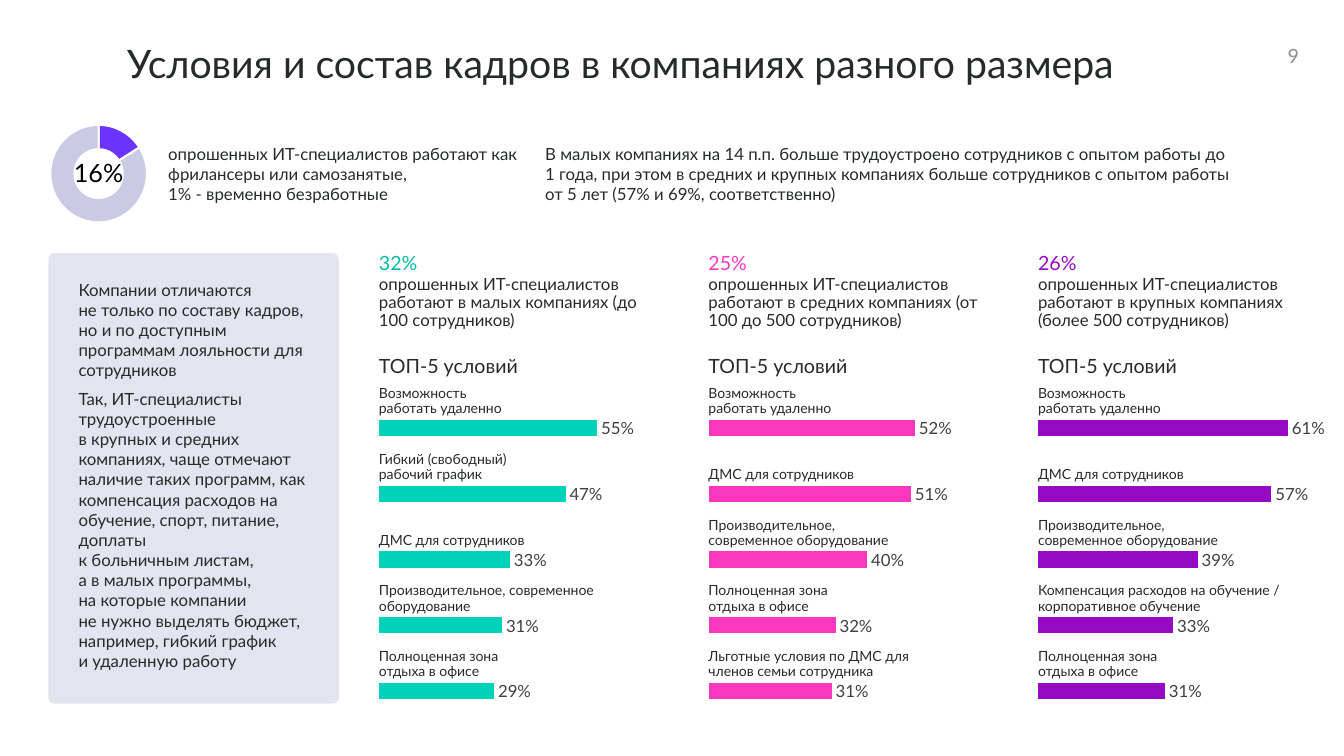
from copy import deepcopy
from dataclasses import dataclass

from lxml import etree
from pptx import Presentation
from pptx.chart import data as chart_data
from pptx.dml.color import RGBColor
from pptx.enum import chart as chart_enum, shapes, text
from pptx.oxml import ns, parse_xml
from pptx.util import Cm, Pt


# Theme: colours and type sizes
@dataclass(frozen=True)
class Theme:
    font: str = "Lato"
    chart_font: str = "Calibri"
    ink: str = "262B28"
    black: str = "000000"
    label: str = "404040"
    grey: str = "8C8C8C"
    white: str = "FFFFFF"
    accent: str = "6D33FF"
    lavender: str = "CACAE5"
    small: str = "00BCA6"
    small_bar: str = "00D2B9"
    medium: str = "FA37BD"
    large: str = "960AC3"
    title_size: int = 28
    donut_size: int = 18
    heading_size: int = 14
    body_size: int = 12
    caption_size: int = 10


THEME = Theme()


@dataclass(frozen=True)
class Box:
    left: float
    top: float
    width: float
    height: float

    def lengths(self) -> tuple:
        return Cm(self.left), Cm(self.top), Cm(self.width), Cm(self.height)


@dataclass(frozen=True)
class Condition:
    caption: str
    share: float
    width: float


@dataclass(frozen=True)
class Company:
    share: str
    description: str
    description_width: float
    color: str
    bar_color: str
    chart_width: float
    plot_share: float
    axis_maximum: float
    conditions: tuple[Condition, ...]


# Content
REMOTE = "Возможность работать удаленно"
INSURANCE = "ДМС для сотрудников"
EQUIPMENT = "Производительное, современное оборудование"
LOUNGE = "Полноценная зона отдыха в офисе"

COMPANIES = (
    Company("32%", "опрошенных ИТ-специалистов работают в малых компаниях (до 100 сотрудников)",
            6.58, THEME.small, THEME.small_bar, 7.04, 0.853, 0.6, (
                Condition(REMOTE, 0.55, 3.61),
                Condition("Гибкий (свободный) рабочий график", 0.47, 3.78),
                Condition(INSURANCE, 0.33, 3.96),
                Condition(EQUIPMENT, 0.31, 5.61),
                Condition(LOUNGE, 0.29, 3.61))),
    Company("25%", "опрошенных ИТ-специалистов работают в средних компаниях (от 100 до 500 сотрудников)",
            6.86, THEME.medium, THEME.medium, 7.04, 0.853, 0.6, (
                Condition(REMOTE, 0.52, 3.61),
                Condition(INSURANCE, 0.51, 3.78),
                Condition(EQUIPMENT, 0.4, 5.16),
                Condition(LOUNGE, 0.32, 3.94),
                Condition("Льготные условия по ДМС для членов семьи сотрудника", 0.31, 5.64))),
    Company("26%", "опрошенных ИТ-специалистов работают в крупных компаниях (более 500 сотрудников)",
            6.86, THEME.large, THEME.large, 7.24, 0.998, 0.7, (
                Condition(REMOTE, 0.61, 3.61),
                Condition(INSURANCE, 0.57, 3.78),
                Condition(EQUIPMENT, 0.39, 5.16),
                Condition("Компенсация расходов на обучение / корпоративное обучение", 0.33, 6.45),
                Condition(LOUNGE, 0.31, 3.61))),
)

PANEL_TEXT = (
    "Компании отличаются \vне только по составу кадров, но и по доступным программам "
    "лояльности для сотрудников",
    "Так, ИТ-специалисты трудоустроенные \vв крупных и средних компаниях, чаще отмечают "
    "наличие таких программ, как компенсация расходов на обучение, спорт, питание, доплаты "
    "\vк больничным листам, \vа в малых программы, \vна которые компании \vне нужно выделять "
    "бюджет, например, гибкий график \vи удаленную работу",
)

FIRST_COLUMN, COLUMN_STEP = 9.55, 8.305
CHART_TOP, CHART_HEIGHT = 9.96, 8.28
CAPTION_TOP, CAPTION_HEIGHT = 9.75, 0.76


def apply(target, **values) -> None:
    for name, value in values.items():
        setattr(target, name, value)


def set_font(font, size: int, color: str, name: str = THEME.font) -> None:
    apply(font, size=Pt(size), name=name)
    font.color.rgb = RGBColor.from_string(color)


def paint(fill, color: str) -> None:
    fill.solid()
    fill.fore_color.rgb = RGBColor.from_string(color)


# Text
def fill_text(shape, paragraphs: tuple[str, ...], size: int, color: str = THEME.ink,
              anchor=text.MSO_ANCHOR.TOP, **paragraph_format) -> None:
    frame = shape.text_frame
    apply(frame, word_wrap=True, auto_size=text.MSO_AUTO_SIZE.NONE, vertical_anchor=anchor,
          margin_left=0, margin_top=0, margin_right=0, margin_bottom=0)
    for index, content in enumerate(paragraphs):
        paragraph = frame.add_paragraph() if index else frame.paragraphs[0]
        paragraph.text = content
        apply(paragraph, **paragraph_format)
        for run in paragraph.runs:
            set_font(run.font, size, color)
        # Line breaks take the size of the text around them
        for line_break in paragraph._p.findall(ns.qn("a:br")):
            line_break.insert(0, deepcopy(paragraph.runs[0]._r.rPr))


def add_text(parent, box: Box, content: str, size: int, color: str = THEME.ink, **options) -> None:
    fill_text(parent.add_textbox(*box.lengths()), (content,), size, color, **options)


# Charts
def add_chart(parent, kind, box: Box, values: list[float], plot_width: float):
    data = chart_data.CategoryChartData()
    data.categories = [str(number) for number in range(1, len(values) + 1)]
    data.add_series("Series 1", values)
    chart = parent.add_chart(kind, *box.lengths(), data).chart
    apply(chart, has_legend=False, has_title=False)
    set_font(chart.font, THEME.caption_size, THEME.black, THEME.chart_font)
    plot_area = chart.element.find(".//" + ns.qn("c:plotArea"))
    for layout in plot_area.findall(ns.qn("c:layout")):
        plot_area.remove(layout)
    plot_area.insert(0, parse_xml(
        f'<c:layout {ns.nsdecls("c")}><c:manualLayout><c:layoutTarget val="inner"/>'
        '<c:xMode val="edge"/><c:yMode val="edge"/><c:x val="0"/><c:y val="0"/>'
        f'<c:w val="{plot_width}"/><c:h val="1"/></c:manualLayout></c:layout>'))
    return chart


def add_donut(parent, box: Box) -> None:
    chart = add_chart(parent, chart_enum.XL_CHART_TYPE.DOUGHNUT, box, [16, 84], 1)
    for index, color in enumerate((THEME.accent, THEME.lavender)):
        point = chart.plots[0].series[0].points[index]
        paint(point.format.fill, color)
        paint(point.format.line.fill, THEME.white)
        point.format.line.width = Pt(1.5)


def add_bars(parent, box: Box, company: Company) -> None:
    values = [condition.share for condition in reversed(company.conditions)]
    chart = add_chart(parent, chart_enum.XL_CHART_TYPE.BAR_CLUSTERED, box, values,
                      company.plot_share)
    apply(chart.category_axis, visible=False, has_major_gridlines=False)
    apply(chart.value_axis, visible=False, has_major_gridlines=False,
          minimum_scale=0, maximum_scale=company.axis_maximum)
    plot = chart.plots[0]
    apply(plot, gap_width=300, vary_by_categories=False)
    series = plot.series[0]
    series.invert_if_negative = False
    paint(series.format.fill, company.bar_color)
    labels = series.data_labels
    apply(labels, show_value=True, number_format="0%", number_format_is_linked=False,
          position=chart_enum.XL_LABEL_POSITION.OUTSIDE_END)
    set_font(labels.font, THEME.body_size, THEME.label)


# One column per company size
def add_company(slide, company: Company, left: float) -> None:
    group = slide.shapes.add_group_shape().shapes
    add_text(group, Box(left, 6.96, company.description_width, 1.37), company.description,
             THEME.body_size, line_spacing=0.9)
    add_text(group, Box(left, 6.38, 1.47, 0.53), company.share, THEME.heading_size,
             company.color, line_spacing=0.9)
    add_bars(group, Box(left, CHART_TOP, company.chart_width, CHART_HEIGHT), company)
    add_text(group, Box(left, 8.99, 3.94, 0.53), "ТОП-5 условий", THEME.heading_size,
             line_spacing=0.9)
    step = CHART_HEIGHT / len(company.conditions)
    for row, condition in enumerate(company.conditions):
        box = Box(left, CAPTION_TOP + row * step, condition.width, CAPTION_HEIGHT)
        add_text(group, box, condition.caption, THEME.caption_size,
                 anchor=text.MSO_ANCHOR.BOTTOM, line_spacing=0.9)


def add_panel(slide) -> None:
    panel = slide.shapes.add_shape(shapes.MSO_SHAPE.ROUNDED_RECTANGLE,
                                   *Box(1.22, 6.38, 7.32, 11.35).lengths())
    panel.adjustments[0] = 0.02
    panel.shadow.inherit = False
    panel.line.fill.background()
    paint(panel.fill, THEME.lavender)
    color = panel._element.spPr.find(".//" + ns.qn("a:srgbClr"))
    etree.SubElement(color, ns.qn("a:alpha"), val="50000")
    words = slide.shapes.add_textbox(*Box(1.98, 7.04, 5.94, 9.86).lengths())
    fill_text(words, PANEL_TEXT, THEME.body_size, space_after=Pt(6))


def main() -> None:
    presentation = Presentation()
    apply(presentation, slide_width=Cm(33.87), slide_height=Cm(19.05))
    slide = presentation.slides.add_slide(presentation.slide_layouts[5])

    # Title and page number
    title = slide.shapes.title
    title.left, title.top, title.width, title.height = Box(3.2, 1.12, 28.91, 1.07).lengths()
    fill_text(title, ("Условия и состав кадров в компаниях разного размера",),
              THEME.title_size, anchor=text.MSO_ANCHOR.MIDDLE,
              alignment=text.PP_ALIGN.LEFT, line_spacing=0.9)
    add_text(slide.shapes, Box(31.32, 1.07, 1.42, 0.69), "9", THEME.heading_size, THEME.grey,
             anchor=text.MSO_ANCHOR.MIDDLE, alignment=text.PP_ALIGN.RIGHT)

    # Key facts
    add_donut(slide.shapes, Box(1.24, 3.12, 2.49, 2.51))
    add_text(slide.shapes, Box(1.75, 4.04, 1.47, 0.69), "16%", THEME.donut_size, THEME.black,
             alignment=text.PP_ALIGN.CENTER, line_spacing=0.9)
    add_text(slide.shapes, Box(4.24, 3.61, 8.99, 1.52),
             "опрошенных ИТ-специалистов работают как фрилансеры или самозанятые, "
             "\v1% - временно безработные", THEME.body_size)
    add_text(slide.shapes, Box(13.74, 3.61, 17.32, 1.52),
             "В малых компаниях на 14 п.п. больше трудоустроено сотрудников с опытом работы до "
             "1 года, при этом в средних и крупных компаниях больше сотрудников с опытом работы "
             "от 5 лет (57% и 69%, соответственно)", THEME.body_size)

    add_panel(slide)
    for index, company in enumerate(COMPANIES):
        add_company(slide, company, FIRST_COLUMN + index * COLUMN_STEP)
    presentation.save("out.pptx")


if __name__ == "__main__":
    main()
